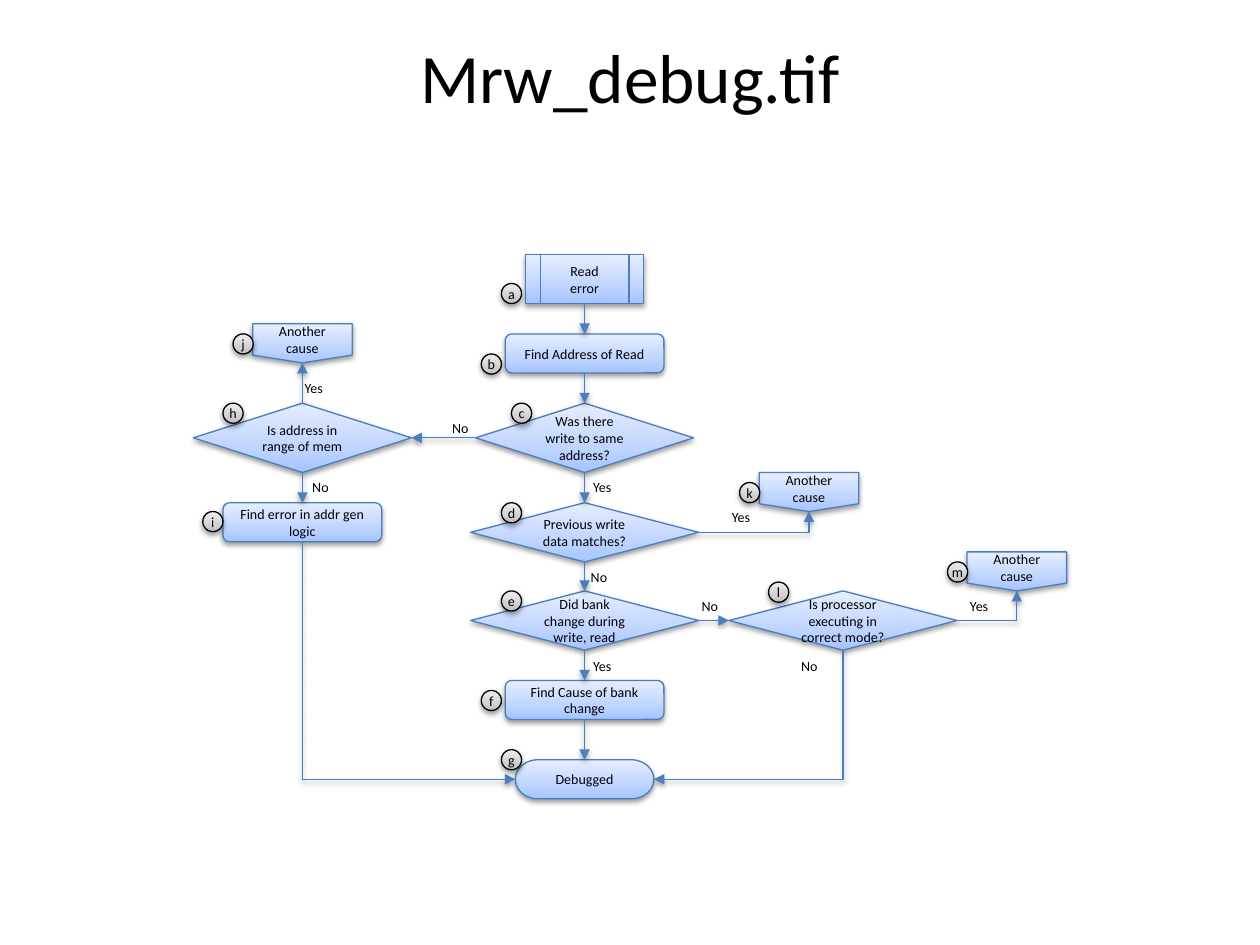
from lxml import etree
from pptx import Presentation
from pptx.dml.color import RGBColor
from pptx.enum.shapes import MSO_CONNECTOR as Conn, MSO_SHAPE as Shape
from pptx.enum.text import MSO_ANCHOR as Anchor, MSO_AUTO_SIZE as AutoSize, PP_ALIGN as Align
from pptx.oxml import parse_xml
from pptx.oxml.ns import nsdecls, qn
from pptx.util import Inches, Pt

BLACK = RGBColor(0x00, 0x00, 0x00)
BLUE = RGBColor(0x4B, 0x7E, 0xBC)
BLUE_STOPS = [(0, RGBColor(0xA4, 0xC4, 0xFF)), (35, RGBColor(0xBF, 0xD4, 0xFF)),
              (100, RGBColor(0xE6, 0xEE, 0xFF))]
GREY_STOPS = [(0, RGBColor(0xBD, 0xBD, 0xBD)), (35, RGBColor(0xD1, 0xD1, 0xD1)),
              (100, RGBColor(0xEE, 0xEE, 0xEE))]

# Content: shape kinds, then name -> (kind, centre x, top, text)
KINDS = {
    "start": (Shape.FLOWCHART_PREDEFINED_PROCESS, 0.94, 0.39),
    "step": (Shape.FLOWCHART_ALTERNATE_PROCESS, 1.26, 0.31),
    "check": (Shape.FLOWCHART_DECISION, 1.73, 0.55),
    "wide check": (Shape.FLOWCHART_DECISION, 1.81, 0.47),
    "exit": (Shape.FLOWCHART_OFFPAGE_CONNECTOR, 0.79, 0.31),
    "end": (Shape.FLOWCHART_TERMINATOR, 1.1, 0.31),
}
LEFT, MAIN, RIGHT = 2.4, 4.64, 6.69
NODES = {
    "a": ("start", MAIN, 2.02, "Read\nerror"),
    "b": ("step", MAIN, 2.65, "Find Address of Read"),
    "c": ("check", MAIN, 3.2, "Was there write to same address?"),
    "d": ("wide check", MAIN, 3.99, "Previous write data matches?"),
    "e": ("wide check", MAIN, 4.69, "Did bank change during write, read"),
    "f": ("step", MAIN, 5.4, "Find Cause of bank change"),
    "g": ("end", MAIN, 6.03, "Debugged"),
    "h": ("check", LEFT, 3.2, "Is address in range of mem"),
    "i": ("step", LEFT, 3.99, "Find error in addr gen logic"),
    "j": ("exit", LEFT, 2.57, "Another cause"),
    "k": ("exit", 6.42, 3.75, "Another cause"),
    "l": ("wide check", RIGHT, 4.69, "Is processor executing in correct mode?"),
    "m": ("exit", 8.07, 4.38, "Another cause"),
}
BADGES = {
    "a": (3.98, 2.25), "b": (3.82, 2.81), "c": (4.06, 3.2), "d": (3.98, 3.99),
    "e": (3.98, 4.69), "f": (3.82, 5.48), "g": (3.98, 5.95), "h": (1.77, 3.2),
    "i": (1.61, 4.06), "j": (1.85, 2.65), "k": (5.87, 3.83), "l": (6.1, 4.62),
    "m": (7.52, 4.46),
}
# Connection sites of the flowchart shapes
TOP, WEST, BOTTOM, EAST = range(4)
STRAIGHT = [("a", BOTTOM, "b", TOP), ("b", BOTTOM, "c", TOP), ("c", BOTTOM, "d", TOP),
            ("d", BOTTOM, "e", TOP), ("e", BOTTOM, "f", TOP), ("f", BOTTOM, "g", TOP),
            ("c", WEST, "h", EAST), ("h", TOP, "j", BOTTOM), ("h", BOTTOM, "i", TOP),
            ("e", EAST, "l", WEST)]
BENT = [("i", BOTTOM, "g", WEST), ("l", BOTTOM, "g", EAST),
        ("l", EAST, "m", BOTTOM), ("d", EAST, "k", BOTTOM)]
LABELS = [("Yes", 4.61, 3.75), ("Yes", 4.61, 5.17), ("Yes", 2.32, 2.96), ("Yes", 7.6, 4.69),
          ("Yes", 5.71, 3.99), ("No", 3.49, 3.28), ("No", 2.38, 3.75), ("No", 4.59, 4.46),
          ("No", 5.47, 4.69), ("No", 6.26, 5.17)]

prs = Presentation()
prs.slide_width, prs.slide_height = Inches(10), Inches(7.5)
s = prs.slides.add_slide(prs.slide_layouts[6])


def write(sp, text, size=8, align=Align.CENTER, anchor=Anchor.MIDDLE, wrap=True, inset=0.1):
    tf = sp.text_frame
    tf.word_wrap, tf.vertical_anchor = wrap, anchor
    tf.margin_left = tf.margin_right = Inches(inset)
    tf.margin_top = tf.margin_bottom = Inches(inset / 2)
    for n, line in enumerate(text.split("\n")):
        p = tf.add_paragraph() if n else tf.paragraphs[0]
        p.alignment = align
        r = p.add_run()
        r.text = line
        r.font.name, r.font.size, r.font.color.rgb = "Calibri", Pt(size), BLACK


def outline(sp, color):
    """Set the line, then the soft shadow below the shape."""
    sp.line.color.rgb, sp.line.width = color, Pt(0.75)
    sp._element.spPr.append(parse_xml(
        f'<a:effectLst {nsdecls("a")}><a:outerShdw blurRad="{Pt(3.1)}" dist="{Pt(1.6)}" '
        'dir="5400000" rotWithShape="0"><a:srgbClr val="000000"><a:alpha val="38000"/>'
        '</a:srgbClr></a:outerShdw></a:effectLst>'))


def add_box(shape, x, y, w, h, text, stops, color, **fmt):
    sp = s.shapes.add_shape(shape, Inches(x), Inches(y), Inches(w), Inches(h))
    gradient = "".join(f'<a:gs pos="{pos * 1000}"><a:srgbClr val="{c}"/></a:gs>'
                       for pos, c in stops)
    sp._element.spPr.append(parse_xml(
        f'<a:gradFill {nsdecls("a")} rotWithShape="1"><a:gsLst>{gradient}</a:gsLst>'
        '<a:lin ang="16200000" scaled="0"/></a:gradFill>'))
    outline(sp, color)
    write(sp, text, **fmt)
    return sp


def connect(kind, start, start_site, end, end_site):
    c = s.shapes.add_connector(kind, 0, 0, 0, 0)
    c.begin_connect(boxes[start], start_site)
    c.end_connect(boxes[end], end_site)
    outline(c, BLUE)
    etree.SubElement(c.line._get_or_add_ln(), qn("a:tailEnd"), type="triangle")
    return c


def bend(c, down_first):
    """Turn an elbow into one corner; a path that starts downwards is rotated."""
    x1, y1, x2, y2 = c.begin_x, c.begin_y, c.end_x, c.end_y
    spPr = c._element.spPr
    spPr.find(qn("a:prstGeom")).set("prst", "bentConnector2")
    if down_first:
        w, h = abs(y2 - y1), abs(x2 - x1)
        c.left, c.top = (x1 + x2 - w) // 2, (y1 + y2 - h) // 2
        c.width, c.height = w, h
        rightwards = x2 > x1
        spPr.xfrm.set("rot", "16200000" if rightwards else "5400000")
        spPr.xfrm.set("flipH", "1" if rightwards else "0")
        spPr.xfrm.set("flipV", "0")


# Title
title = s.shapes.add_textbox(Inches(0.5), Inches(0.3), Inches(9), Inches(0.61))
write(title, "Mrw_debug.tif", size=39.6)

# Flowchart boxes
boxes = {}
for name, (kind, cx, top, text) in NODES.items():
    shape, w, h = KINDS[kind]
    boxes[name] = add_box(shape, cx - w / 2, top, w, h, text, BLUE_STOPS, BLUE)

# Arrows
for link in STRAIGHT:
    connect(Conn.STRAIGHT, *link)
for link in BENT:
    bend(connect(Conn.ELBOW, *link), down_first=link[1] == BOTTOM)

# Yes / No labels
for text, x, y in LABELS:
    label = s.shapes.add_textbox(Inches(x), Inches(y),
                                 Inches(0.36 if text == "Yes" else 0.33), Inches(0.24))
    write(label, text, align=Align.LEFT, anchor=Anchor.TOP, wrap=False)
    label.text_frame.auto_size = AutoSize.SHAPE_TO_FIT_TEXT

# Letter badges
for letter, (x, y) in BADGES.items():
    add_box(Shape.FLOWCHART_CONNECTOR, x, y, 0.16, 0.16, letter, GREY_STOPS, BLACK,
            wrap=False, inset=0)

prs.save("out.pptx")
